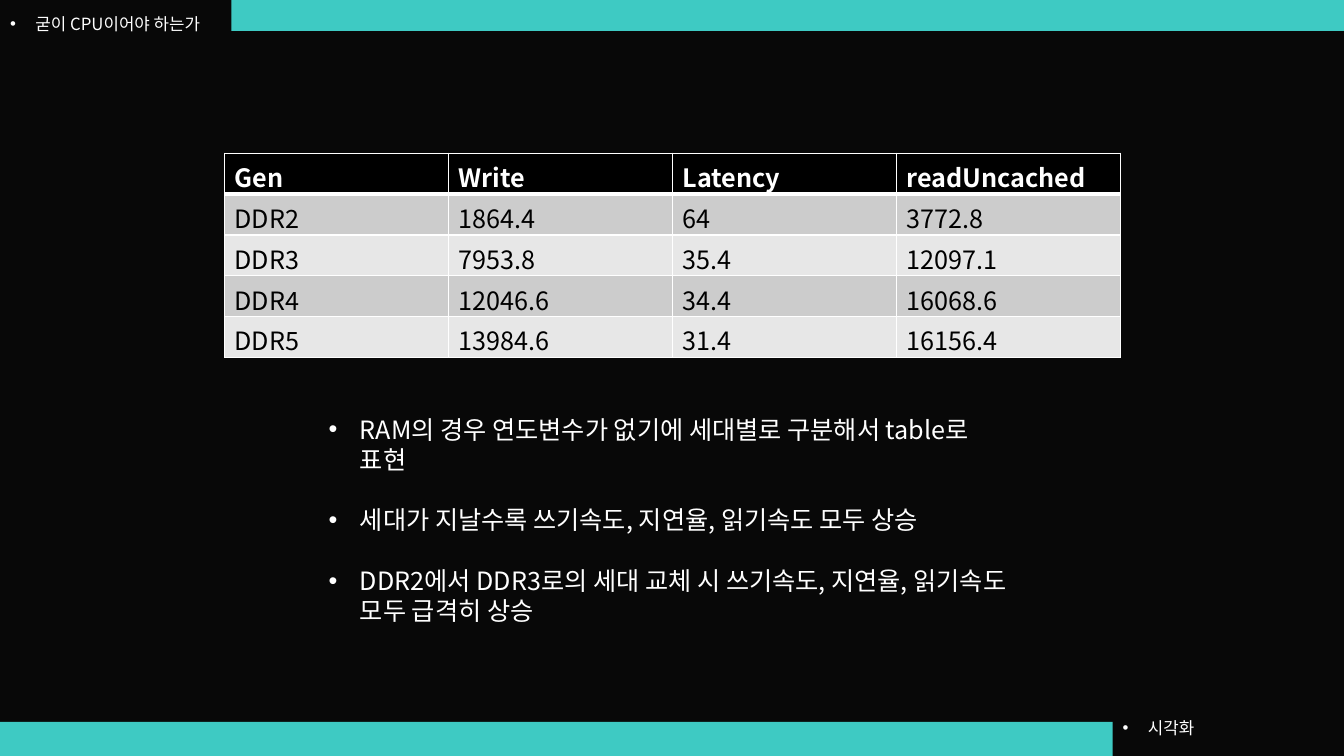
import pptx
import pptx.dml.color
import pptx.enum.shapes
import pptx.enum.text
import pptx.oxml
import pptx.oxml.ns
import pptx.util
from dataclasses import dataclass
from lxml import etree

Cm = pptx.util.Cm
Pt = pptx.util.Pt
Anchor = pptx.enum.text.MSO_ANCHOR

FONT = "Noto Sans CJK KR"
WHITE, BLACK, TEAL, BACKDROP = "FFFFFF", "000000", "3ECAC3", "080808"
SLIDE_WIDTH, SLIDE_HEIGHT = 33.87, 19.05
BAR_WIDTH, BAR_HEIGHT = 28.04, 0.86
LABEL_WIDTH, LABEL_HEIGHT = 5.79, 1.35

RAM_GENERATIONS = [
    ("Gen", "Write", "Latency", "readUncached"),
    ("DDR2", "1864.4", "64", "3772.8"),
    ("DDR3", "7953.8", "35.4", "12097.1"),
    ("DDR4", "12046.6", "34.4", "16068.6"),
    ("DDR5", "13984.6", "31.4", "16156.4"),
]
FINDINGS = [
    "RAM의 경우 연도변수가 없기에 세대별로 구분해서 table로 표현",
    "세대가 지날수록 쓰기속도, 지연율, 읽기속도 모두 상승",
    "DDR2에서 DDR3로의 세대 교체 시 쓰기속도, 지연율, 읽기속도 모두 급격히 상승",
]


@dataclass
class Box:
    left: float
    top: float
    width: float
    height: float

    def lengths(self) -> tuple:
        return Cm(self.left), Cm(self.top), Cm(self.width), Cm(self.height)


BARS = [
    Box(SLIDE_WIDTH - BAR_WIDTH, -0.08, BAR_WIDTH, BAR_HEIGHT),
    Box(0, SLIDE_HEIGHT - BAR_HEIGHT, BAR_WIDTH, BAR_HEIGHT),
]


def color(value: str) -> pptx.dml.color.RGBColor:
    return pptx.dml.color.RGBColor.from_string(value)


def paint(fill, value: str) -> None:
    fill.solid()
    fill.fore_color.rgb = color(value)


def write(frame, *texts: str, size: float = 18, ink: str = WHITE, bold: bool = False,
          indent: float = 0, spacing=None, gap: float = 0, anchor=Anchor.TOP) -> None:
    frame.word_wrap = True
    frame.vertical_anchor = anchor
    for number, text in enumerate(texts):
        paragraph = frame.add_paragraph() if number else frame.paragraphs[0]
        if indent:
            properties = paragraph._p.get_or_add_pPr()
            properties.set("marL", str(Cm(indent)))
            properties.set("indent", str(-Cm(indent)))
            etree.SubElement(properties, pptx.oxml.ns.qn("a:buFont"), typeface="Arial")
            etree.SubElement(properties, pptx.oxml.ns.qn("a:buChar"), char="•")
        paragraph.alignment = pptx.enum.text.PP_ALIGN.LEFT
        paragraph.space_before = Pt(gap if number else 0)
        if spacing:
            paragraph.line_spacing = spacing
        run = paragraph.add_run()
        run.text = text
        run.font.name = FONT
        run.font.size = Pt(size)
        run.font.bold = bold
        run.font.color.rgb = color(ink)
        etree.SubElement(run._r.get_or_add_rPr(), pptx.oxml.ns.qn("a:ea"), typeface=FONT)


def add_bar(slide, box: Box) -> None:
    bar = slide.shapes.add_shape(pptx.enum.shapes.MSO_SHAPE.RECTANGLE, *box.lengths())
    bar.shadow.inherit = False
    paint(bar.fill, TEAL)
    bar.line.fill.background()


def add_border(cell, side: str, width: float) -> None:
    cell._tc.get_or_add_tcPr().append(pptx.oxml.parse_xml(
        f'<a:ln{side} {pptx.oxml.ns.nsdecls("a")} w="{Pt(width)}">'
        f'<a:solidFill><a:srgbClr val="{WHITE}"/></a:solidFill></a:ln{side}>'))


def add_generation_table(slide) -> None:
    rows, columns = len(RAM_GENERATIONS), len(RAM_GENERATIONS[0])
    box = Box(5.66, 3.86, 5.645 * columns, 1.03 * rows)
    table = slide.shapes.add_table(rows, columns, *box.lengths()).table
    for row, values in enumerate(RAM_GENERATIONS):
        header = row == 0
        shade = BLACK if header else ("E7E7E7", "CCCCCC")[row % 2]
        for column, value in enumerate(values):
            cell = table.cell(row, column)
            for side in "LRTB":
                thick = (header and side == "B") or (row == 1 and side == "T")
                add_border(cell, side, 3 if thick else 1)
            paint(cell.fill, shade)
            write(cell.text_frame, value, ink=WHITE if header else BLACK, bold=header)


def main() -> None:
    deck = pptx.Presentation()
    deck.slide_width, deck.slide_height = Cm(SLIDE_WIDTH), Cm(SLIDE_HEIGHT)
    slide = deck.slides.add_slide(deck.slide_layouts[5])
    paint(slide.background.fill, BACKDROP)
    for bar in BARS:
        add_bar(slide, bar)

    label_format = dict(size=12, indent=0.64, spacing=0.9, anchor=Anchor.MIDDLE)
    topic = slide.shapes.title
    topic.left, topic.top, topic.width, topic.height = Box(
        0, -0.05, LABEL_WIDTH, LABEL_HEIGHT).lengths()
    topic.text_frame.auto_size = pptx.enum.text.MSO_AUTO_SIZE.NONE
    write(topic.text_frame, "굳이 CPU이어야 하는가", **label_format)
    section = slide.shapes.add_textbox(*Box(
        BAR_WIDTH, SLIDE_HEIGHT - LABEL_HEIGHT, LABEL_WIDTH, LABEL_HEIGHT).lengths())
    write(section.text_frame, "시각화", **label_format)

    add_generation_table(slide)
    findings = slide.shapes.add_textbox(*Box(8.03, 10.31, 17.88, 4.88).lengths())
    write(findings.text_frame, *FINDINGS, indent=0.79, spacing=Pt(21.6), gap=21.6)
    deck.save("out.pptx")


if __name__ == "__main__":
    main()
